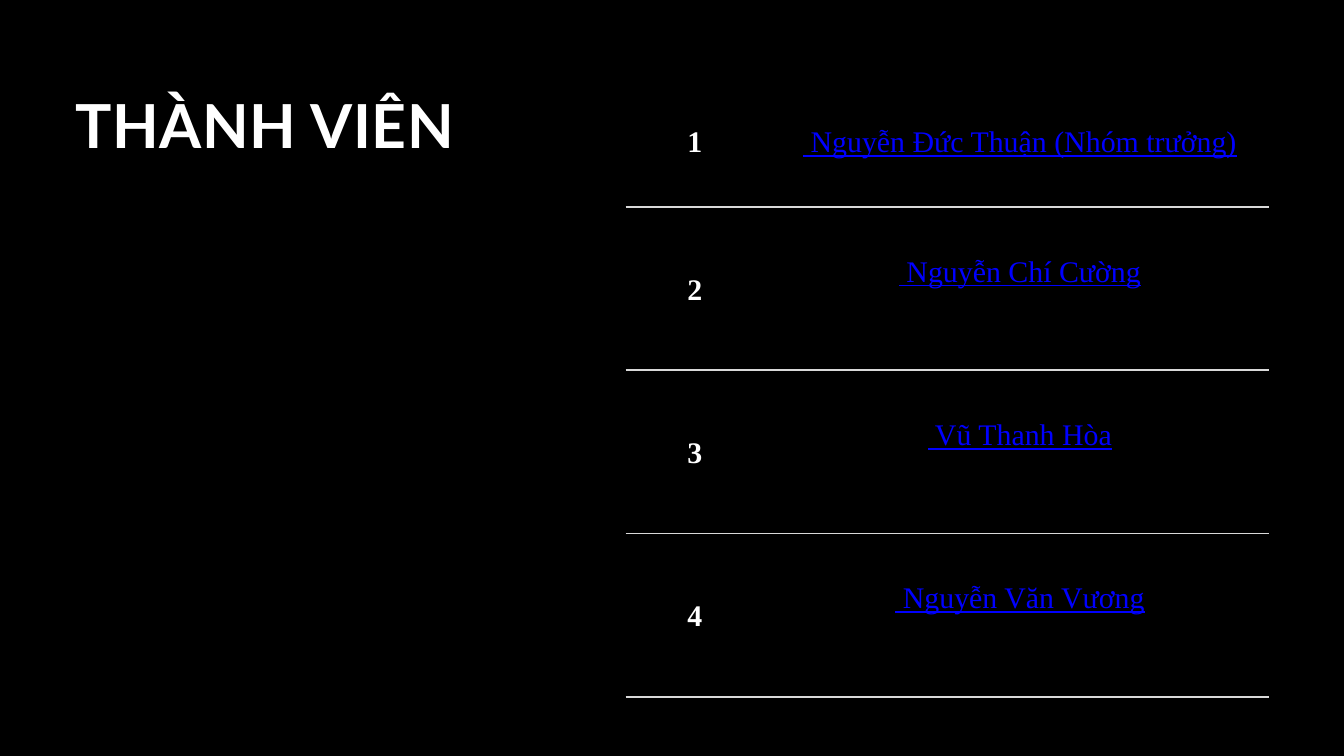
from dataclasses import dataclass

from lxml import etree
from pptx import Presentation
from pptx.dml.color import RGBColor
from pptx.enum.text import MSO_ANCHOR, PP_ALIGN
from pptx.oxml.ns import qn
from pptx.util import Inches, Pt

LEFT, CENTER = PP_ALIGN.LEFT, PP_ALIGN.CENTER
MIDDLE = MSO_ANCHOR.MIDDLE


@dataclass(frozen=True)
class Theme:
    background: str = "000000"
    text: str = "FFFFFF"
    name: str = "0000FF"
    rule: str = "D9D9D9"
    title_font: str = "Lato"
    table_font: str = "Times New Roman"
    title_size: float = 65
    table_size: float = 32
    title_leading: float = 74.1
    table_leading: float = 39.2
    rule_width: float = 2.25


THEME = Theme()
MEMBERS = [
    "Nguyễn Đức Thuận (Nhóm trưởng)",
    "Nguyễn Chí Cường",
    "Vũ Thanh Hòa",
    "Nguyễn Văn Vương",
]
COLUMN_WIDTHS = [2.06, 7.51]
FIRST_ROW, OTHER_ROWS = 1.96, 2.43
PADDING = 0.21
NAME_INDENT = 0.11
NAME_LIFT = 0.54  # extra space under the names below the first row


def write_text(tf, text, *, font, size, leading, color=THEME.text, bold=False,
               underline=False, align=LEFT, spacing=None):
    tf.word_wrap = True
    p = tf.paragraphs[0]
    p.alignment = align
    p.line_spacing = Pt(leading)
    r = p.add_run()
    r.text = text
    r.font.name = font
    r.font.size = Pt(size)
    r.font.bold = bold
    r.font.underline = underline
    r.font.color.rgb = RGBColor.from_string(color)
    if spacing is not None:
        r.font._element.set("spc", str(round(spacing * 100)))


def set_borders(cell, visible):
    """Rule the sides named in visible (of L, R, T, B) and clear the others."""
    tc_pr = cell._tc.get_or_add_tcPr()
    for side in "LRTB":
        shown = side in visible
        ln = etree.SubElement(tc_pr, qn(f"a:ln{side}"))
        ln.set("w", str(Pt(THEME.rule_width) if shown else 0))
        fill = etree.SubElement(ln, qn("a:solidFill" if shown else "a:noFill"))
        if shown:
            etree.SubElement(fill, qn("a:srgbClr")).set("val", THEME.rule)


def format_cell(cell, text, *, borders, indent=0, lift=0, **text_format):
    set_borders(cell, borders)
    cell.fill.background()
    cell.vertical_anchor = MIDDLE
    cell.margin_left = Inches(PADDING + indent)
    cell.margin_right = cell.margin_top = Inches(PADDING)
    cell.margin_bottom = Inches(PADDING + lift)
    write_text(cell.text_frame, text, font=THEME.table_font, size=THEME.table_size,
               leading=THEME.table_leading, align=CENTER, **text_format)


def add_title(slide, text, x, y, w, h):
    tf = slide.shapes.add_textbox(Inches(x), Inches(y), Inches(w), Inches(h)).text_frame
    tf.margin_left = tf.margin_right = tf.margin_top = tf.margin_bottom = 0
    write_text(tf, text, font=THEME.title_font, size=THEME.title_size,
               leading=THEME.title_leading, bold=True, spacing=0.7)


def add_member_table(slide, members, x, y, w, h):
    table = slide.shapes.add_table(len(members), len(COLUMN_WIDTHS), Inches(x),
                                   Inches(y), Inches(w), Inches(h)).table
    table.first_row = table.horz_banding = False
    for column, width in zip(table.columns, COLUMN_WIDTHS):
        column.width = Inches(width)
    for i, member in enumerate(members):
        first = i == 0
        table.rows[i].height = Inches(FIRST_ROW if first else OTHER_ROWS)
        borders = "B" if first else "TB"
        format_cell(table.cell(i, 0), str(i + 1), borders=borders, bold=True)
        format_cell(table.cell(i, 1), f" {member}", borders=borders,
                    indent=NAME_INDENT, lift=0 if first else NAME_LIFT,
                    color=THEME.name, underline=True)


def main():
    prs = Presentation()
    prs.slide_width, prs.slide_height = Inches(20), Inches(11.25)
    slide = prs.slides.add_slide(prs.slide_layouts[6])
    fill = slide.background.fill
    fill.solid()
    fill.fore_color.rgb = RGBColor.from_string(THEME.background)
    add_title(slide, "THÀNH VIÊN", 1.12, 1.36, 6.81, 1.05)
    add_member_table(slide, MEMBERS, 9.31, 1.12, 9.57, 9.25)
    prs.save("out.pptx")


if __name__ == "__main__":
    main()
